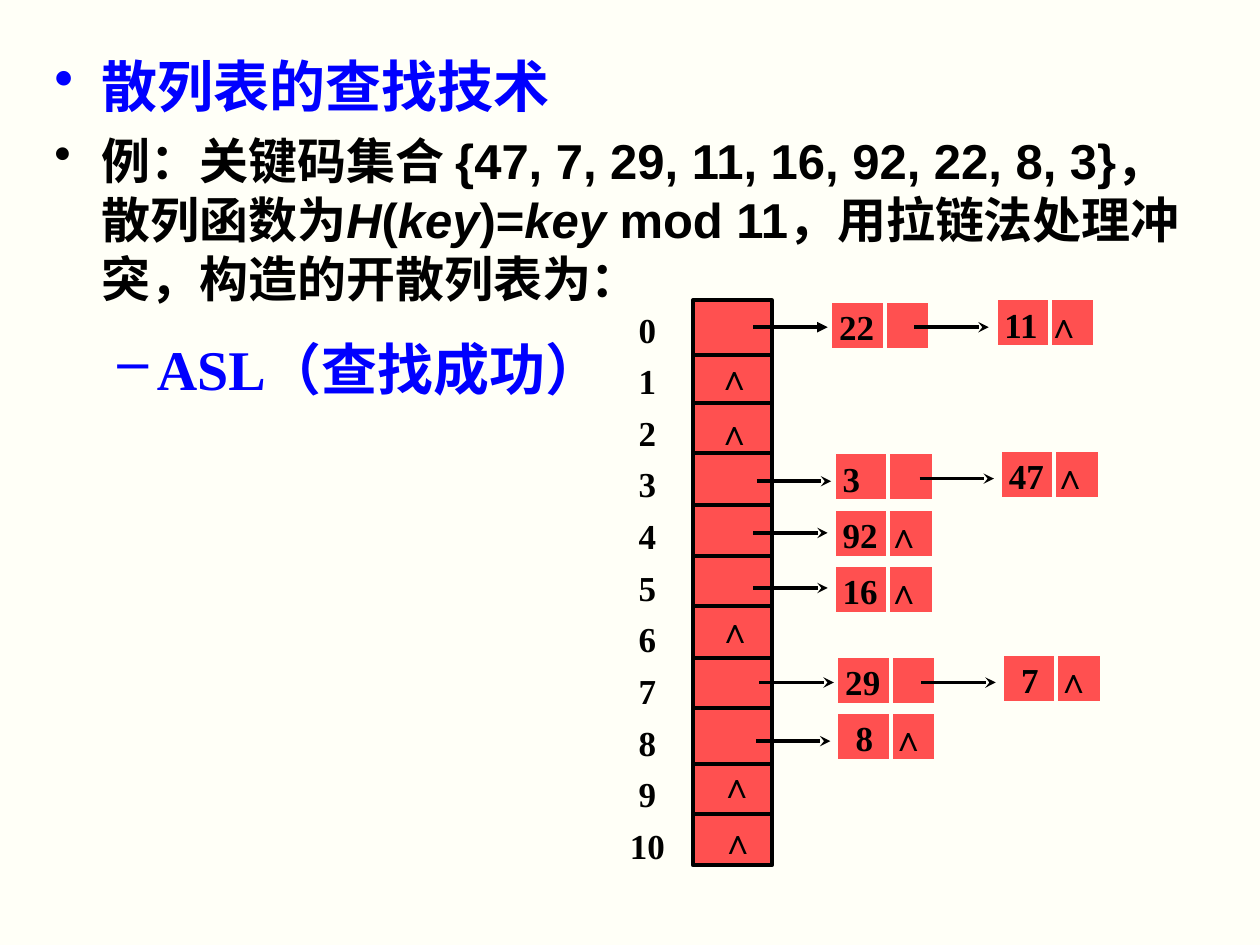
from lxml import etree
from pptx import Presentation
from pptx.dml.color import RGBColor
from pptx.enum.shapes import MSO_CONNECTOR as Connector, MSO_SHAPE as Shape
from pptx.enum.text import MSO_ANCHOR as Anchor, PP_ALIGN as Align
from pptx.oxml.ns import qn
from pptx.util import Pt

PAPER, INK, BLUE, RED = "FFFFF7", "000000", "0000FF", "FF5050"
SERIF, SANS = "Times New Roman", "Arial"
NIL = "∧"

# Bucket table: left, top, width, height and the lines between buckets
TABLE = (396, 171.5, 45, 323)
BUCKET_LINES = (203, 230.5, 259, 288.5, 317.5, 346.5, 376, 404.5, 436.5, 465)
EMPTY_BUCKETS = ((402.5, 199.5), (402.5, 231), (403, 344), (404, 432.5), (404.5, 465))

# Chain nodes: left, top, text, left inset
NODES = (
    (569, 170.5, f" 11 {NIL}", 0), (474.5, 172, " 22", 0),
    (571.5, 257, f" 47 {NIL}", 0), (476.5, 258.5, " 3", 0),
    (476.5, 291, f" 92 {NIL}", 0), (476.5, 323, f" 16 {NIL}", 0),
    (572.5, 373.5, f" 7  {NIL}", 6), (478, 375, " 29", 0),
    (478, 407, f" 8  {NIL}", 6),
)
NODE_WIDTH, NODE_HEIGHT, DIVIDER_OFFSET = 57, 28, 31

# Pointers: left, height on the page, arrowhead
POINTERS = (
    (430.5, 187, "triangle"), (522.5, 187, "stealth"),
    (432.5, 275, "stealth"), (525.5, 273.5, "stealth"),
    (430.5, 304.5, "stealth"), (430.5, 336, "stealth"),
    (434, 390, "stealth"), (526.5, 390, "stealth"),
    (432, 423.5, "stealth"),
)
POINTER_LENGTH = 42.5


def color(hex_text):
    return RGBColor.from_string(hex_text)


def set_frame(shape, insets, wrap=True, anchor=Anchor.TOP):
    frame = shape.text_frame
    frame.margin_left, frame.margin_top, frame.margin_right, frame.margin_bottom = map(Pt, insets)
    frame.word_wrap = wrap
    frame.vertical_anchor = anchor
    return frame


def add_box(page, left, top, width, height, insets=(7.2, 3.6, 7.2, 3.6), wrap=True):
    box = page.shapes.add_textbox(Pt(left), Pt(top), Pt(width), Pt(height))
    return set_frame(box, insets, wrap)


def add_span(para, text, *, size=20, font=SERIF, fill=INK, italic=False):
    span = para.add_run()
    span.text = text
    span.font.size = Pt(size)
    span.font.name = font
    span.font.bold = True
    span.font.italic = italic
    span.font.color.rgb = color(fill)


def next_para(frame):
    first = frame.paragraphs[0]
    return frame.add_paragraph() if first.runs else first


def add_bullet(frame, spans, *, mark, fill, indent, hanging, spacing, before, **style):
    para = next_para(frame)
    para.line_spacing = spacing
    para.space_before = Pt(before)
    props = para._p.get_or_add_pPr()
    props.set("marL", str(Pt(indent)))
    props.set("indent", str(-Pt(hanging)))
    bullet_color = etree.SubElement(props, qn("a:buClr"))
    etree.SubElement(bullet_color, qn("a:srgbClr"), val=fill)
    etree.SubElement(props, qn("a:buChar"), char=mark)
    for text, italic in spans:
        add_span(para, text, fill=fill, italic=italic, **style)


def add_line(page, start, end, *, fill=INK, width=2.25, head=None):
    line = page.shapes.add_connector(Connector.STRAIGHT, *map(Pt, start + end))
    line.line.color.rgb = color(fill)
    line.line.width = Pt(width)
    if head:
        etree.SubElement(line.line._get_or_add_ln(), qn("a:tailEnd"), type=head)
    etree.SubElement(line._element.spPr, qn("a:effectLst"))


def add_rect(page, left, top, width, height, edge):
    rect = page.shapes.add_shape(Shape.RECTANGLE, Pt(left), Pt(top), Pt(width), Pt(height))
    rect.shadow.inherit = False
    rect.fill.solid()
    rect.fill.fore_color.rgb = color(RED)
    rect.line.color.rgb = color(edge)
    rect.line.width = Pt(2.25)
    return rect


def add_node(page, left, top, text, inset):
    rect = add_rect(page, left, top, NODE_WIDTH, NODE_HEIGHT, PAPER)
    para = set_frame(rect, (inset, 1.4, 0, 0), anchor=Anchor.MIDDLE).paragraphs[0]
    para.alignment = Align.JUSTIFY
    add_span(para, text)
    middle = left + DIVIDER_OFFSET
    add_line(page, (middle, top), (middle, top + NODE_HEIGHT - 1), fill=PAPER)


def add_explanation(page):
    frame = add_box(page, 24, 18, 672.5, 507)
    heading = dict(fill=BLUE, size=32, spacing=1.2, before=8)
    add_bullet(frame, [("散列表的查找技术", False)], mark="•", indent=27, hanging=27, **heading)
    example = [
        ("例：关键码集合 {47, 7, 29, 11, 16, 92, 22, 8, 3}，散列函数为", False),
        ("H", True), ("(", False), ("key", True), (")=", False), ("key", True),
        (" mod 11，用拉链法处理冲突，构造的开散列表为：", False),
    ]
    add_bullet(frame, example, mark="•", fill=INK, indent=27, hanging=27,
               spacing=1.0, before=7, size=28, font=SANS)
    add_bullet(frame, [("ASL（查找成功）", False)], mark="–", indent=58.5, hanging=22.5, **heading)


def add_bucket_table(page):
    frame = add_box(page, 360, 170.5, 28, 312, insets=(0, 0, 0, 0))
    for index in range(len(BUCKET_LINES) + 1):
        para = next_para(frame)
        para.alignment = Align.JUSTIFY
        para.line_spacing = 1.23
        add_span(para, f"{index:2}")
    add_rect(page, *TABLE, INK)
    left, _, width, _ = TABLE
    for y in BUCKET_LINES:
        add_line(page, (left, y), (left + width - 1, y))
    for x, y in EMPTY_BUCKETS:
        add_span(add_box(page, x, y, 34.5, 31.5, wrap=False).paragraphs[0], NIL)


def main():
    deck = Presentation()
    deck.slide_width, deck.slide_height = Pt(720), Pt(540)
    page = deck.slides.add_slide(deck.slide_layouts[6])
    page.background.fill.solid()
    page.background.fill.fore_color.rgb = color(PAPER)

    add_explanation(page)
    add_bucket_table(page)
    # Chains hanging from the buckets
    for node in NODES:
        add_node(page, *node)
    for left, y, head in POINTERS:
        add_line(page, (left, y), (left + POINTER_LENGTH, y), width=2, head=head)
    deck.save("out.pptx")


if __name__ == "__main__":
    main()
